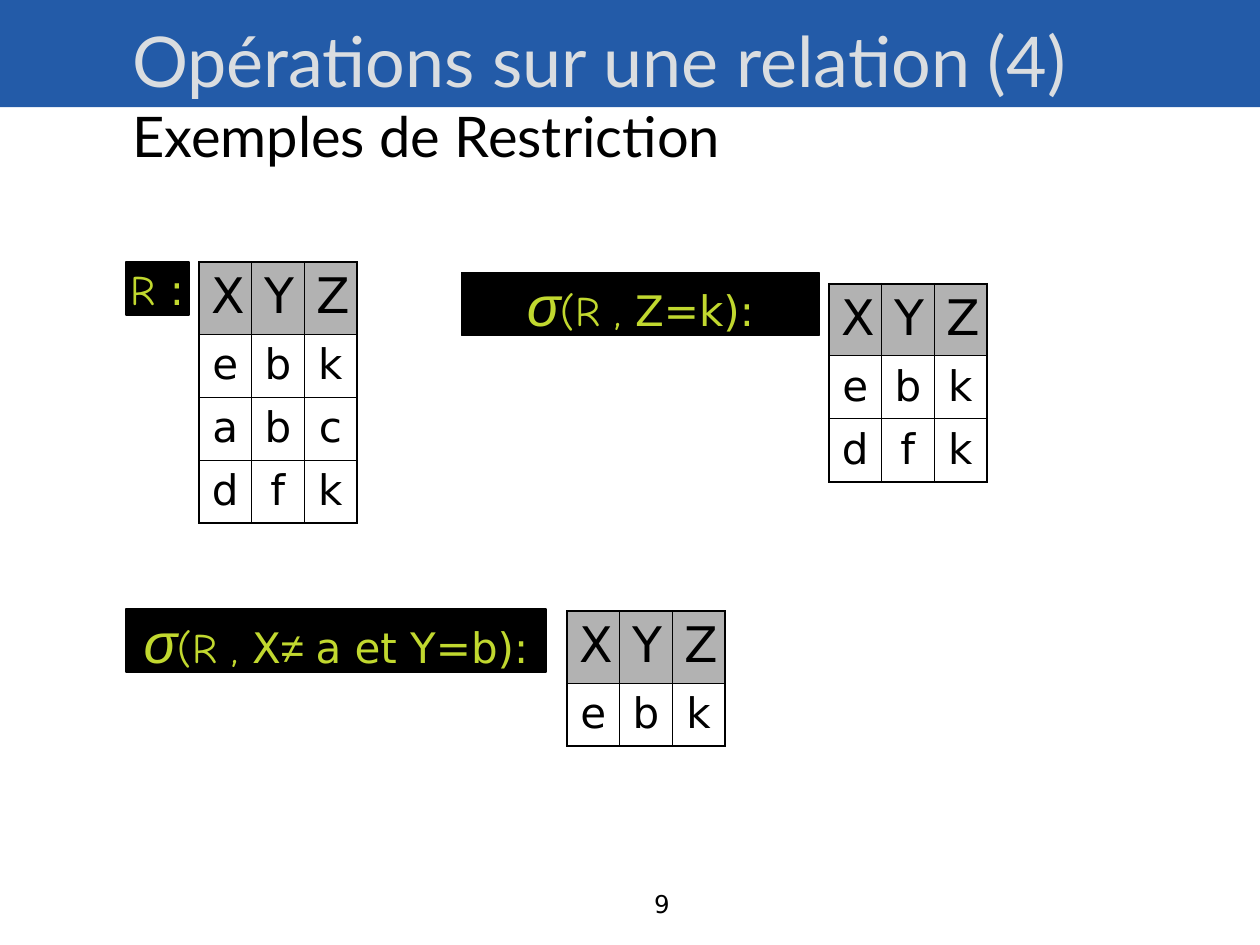
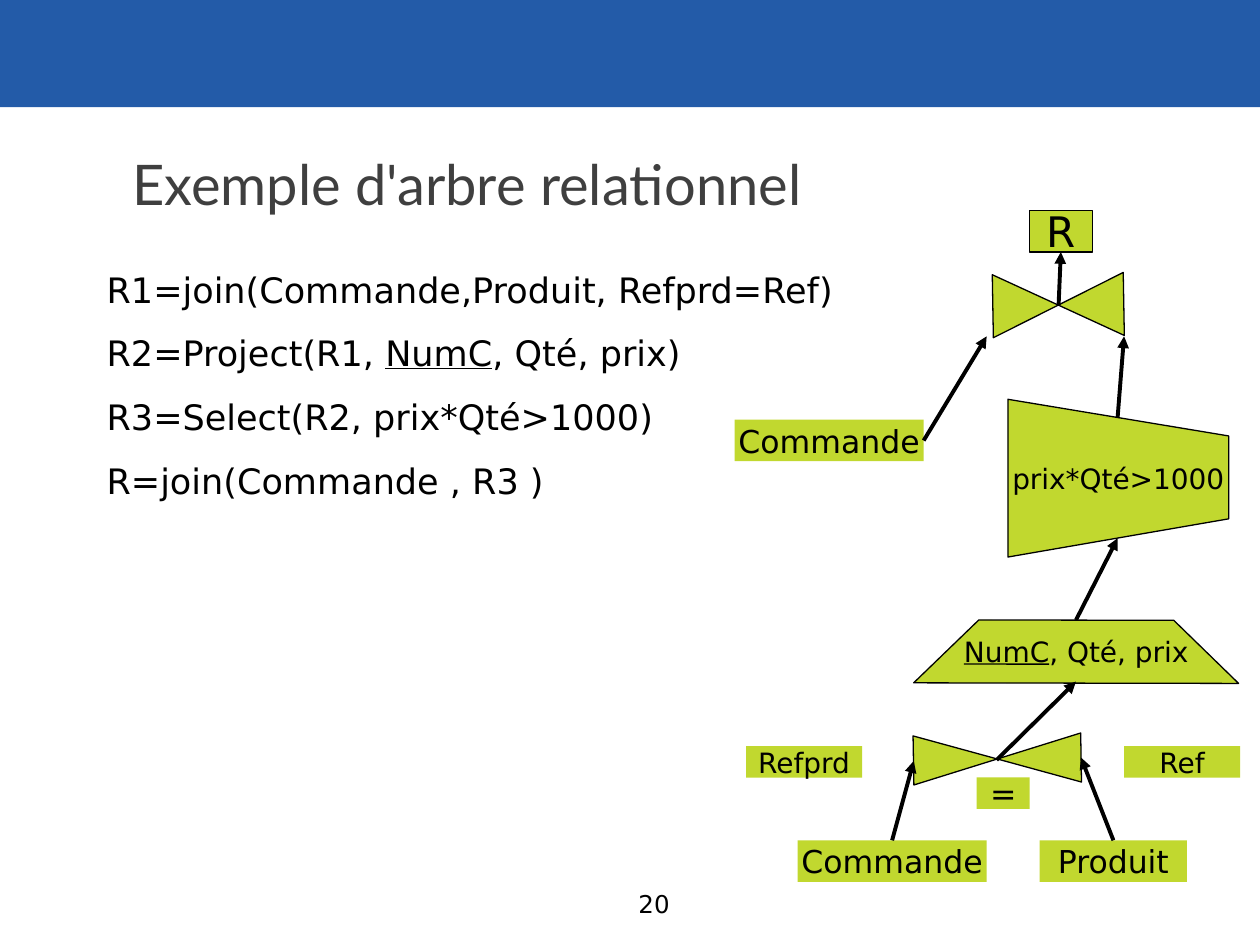
from lxml.etree import SubElement
from pptx import Presentation
from pptx.dml.color import RGBColor
from pptx.enum.shapes import MSO_CONNECTOR, MSO_SHAPE
from pptx.enum.text import MSO_ANCHOR, MSO_AUTO_SIZE, PP_ALIGN
from pptx.oxml.ns import qn
from pptx.util import Cm, Pt

BLUE, GREEN, GREY = "235BA8", "C1D82F", "B2B2B2"
BLACK, WHITE = "000000", "FFFFFF"
TITLE_FONT, BODY_FONT, RELATION_FONT, SYMBOL_FONT = "Lato", "DejaVu Sans", "Comic Neue", "Arial"
TOP, BOTTOM, RIGHT = 0, 2, 3  # connection sites of a rectangle


def color(value):
    return RGBColor.from_string(value)


def box(*lengths):
    return [Cm(length) for length in lengths]


# Text
def add_text(paragraph, text, size=16, font=BODY_FONT, fill=BLACK, italic=False, underline=False):
    run = paragraph.add_run()
    run.text = text
    run.font.size = Pt(size)
    run.font.name = font
    run.font.color.rgb = color(fill)
    run.font.italic = italic
    run.font.underline = underline


def add_runs(paragraph, runs, **shared):
    """Each run is a text, or a pair of a text and its own format."""
    for run in runs:
        text, own = (run, {}) if isinstance(run, str) else run
        add_text(paragraph, text, **{**shared, **own})


def set_title(slide, position, lines):
    title = slide.shapes.title
    title.left, title.top, title.width, title.height = box(*position)
    frame = title.text_frame
    frame.word_wrap = True
    frame.auto_size = MSO_AUTO_SIZE.NONE
    frame.vertical_anchor = MSO_ANCHOR.MIDDLE
    paragraph = frame.paragraphs[0]
    paragraph.alignment = PP_ALIGN.LEFT
    for index, (text, size, fill) in enumerate(lines):
        if index:
            paragraph.add_line_break()
        add_text(paragraph, text, size=size, font=TITLE_FONT, fill=fill)


def add_page_number(slide, number):
    frame = slide.shapes.add_textbox(*box(11.63, 17.98, 2.12, 0.46)).text_frame
    frame.word_wrap = True
    frame.vertical_anchor = MSO_ANCHOR.MIDDLE
    frame.paragraphs[0].alignment = PP_ALIGN.RIGHT
    add_text(frame.paragraphs[0], str(number), size=14)


def add_steps(slide, position, steps):
    frame = slide.shapes.add_textbox(*box(*position)).text_frame
    frame.word_wrap = True
    for index, runs in enumerate(steps):
        paragraph = frame.add_paragraph() if index else frame.paragraphs[0]
        paragraph.space_before = Pt(12.5)
        add_runs(paragraph, runs, size=20)


# Shapes
def style_shape(shape, fill, outline=None, runs=(), **text_format):
    shape.shadow.inherit = False
    shape.fill.solid()
    shape.fill.fore_color.rgb = color(fill)
    if outline:
        shape.line.color.rgb = color(outline)
        shape.line.width = Pt(0.75)
    else:
        shape.line.fill.background()
    if runs:
        frame = shape.text_frame
        frame.word_wrap = False
        frame.vertical_anchor = MSO_ANCHOR.MIDDLE
        frame.paragraphs[0].alignment = PP_ALIGN.CENTER
        add_runs(frame.paragraphs[0], runs, **text_format)
    return shape


def add_label(slide, position, *runs, fill=GREEN, outline=None, **text_format):
    shape = slide.shapes.add_shape(MSO_SHAPE.RECTANGLE, *box(*position))
    return style_shape(shape, fill, outline, runs, **text_format)


def add_relation_label(slide, position, *runs):
    add_label(slide, position, *runs, fill=BLACK, outline=BLACK, size=24, font=RELATION_FONT)


def add_relation_name(text):
    return text, {"font": BODY_FONT}


def add_join(slide, position):
    shape = slide.shapes.add_shape(MSO_SHAPE.FLOWCHART_COLLATE, *box(*position))
    shape.rotation = 269
    style_shape(shape, GREEN, BLACK)


def add_projection(slide, position, *runs):
    shape = slide.shapes.add_shape(MSO_SHAPE.FLOWCHART_MANUAL_OPERATION, *box(*position))
    shape.rotation = 180.1
    style_shape(shape, GREEN, BLACK, runs)
    # Turn the text back upright
    shape.text_frame._txBody.bodyPr.set("rot", "10800000")


def add_selection(slide, corners, *runs):
    points = [box(*corner) for corner in corners]
    builder = slide.shapes.build_freeform(*points[0])
    builder.add_line_segments(points[1:], close=True)
    style_shape(builder.convert_to_shape(), GREEN, BLACK, runs)


def add_arrow(slide, start, end):
    """An end is a point, or a pair of a shape and its connection site."""
    points = [box(*place) if isinstance(place[0], (int, float)) else box(0, 0)
              for place in (start, end)]
    arrow = slide.shapes.add_connector(MSO_CONNECTOR.STRAIGHT, *points[0], *points[1])
    for place, connect in ((start, arrow.begin_connect), (end, arrow.end_connect)):
        if not isinstance(place[0], (int, float)):
            connect(*place)
    arrow.line.color.rgb = color(BLACK)
    arrow.line.width = Pt(2.25)
    SubElement(arrow.line._get_or_add_ln(), qn("a:tailEnd"), type="triangle")
    SubElement(arrow.element.spPr, qn("a:effectLst"))


# Tables
def set_border(cell, side, width):
    line = SubElement(cell._tc.get_or_add_tcPr(), qn(f"a:ln{side}"), w=str(Pt(width)))
    fill = SubElement(line, qn("a:solidFill"))
    SubElement(fill, qn("a:srgbClr"), val=BLACK)


def add_relation(slide, left, top, *tuples):
    rows = ["XYZ", *tuples]
    heights = [1.45] + [1.27] * len(tuples)
    column_width, last_row, last_column = 1.06, len(rows) - 1, 2
    frame = slide.shapes.add_table(len(rows), 3, *box(left, top, 3 * column_width, sum(heights)))
    table = frame.table
    table.first_row = table.horz_banding = False
    for column in table.columns:
        column.width = Cm(column_width)
    for i, values in enumerate(rows):
        table.rows[i].height = Cm(heights[i])
        for j, value in enumerate(values):
            cell = table.cell(i, j)
            outer_sides = {"L": j == 0, "R": j == last_column, "T": i == 0, "B": i == last_row}
            for side, outer in outer_sides.items():
                set_border(cell, side, 1.08 if outer else 0.45)
            if i == 0:
                cell.fill.solid()
                cell.fill.fore_color.rgb = color(GREY)
            else:
                cell.fill.background()
            paragraph = cell.text_frame.paragraphs[0]
            paragraph.alignment = PP_ALIGN.CENTER
            paragraph.space_before = Pt(6 if i else 7)
            add_text(paragraph, value, size=24 if i else 28)


# Slides
def add_bands(layout, slide):
    """Build the shared bands and place them behind everything on the layout."""
    for position, fill in (((0, 0, 25.4, 2.16), BLUE), ((0, 17.91, 25.4, 1.14), WHITE)):
        band = add_label(slide, position, fill=fill)
        layout.shapes.element.insert(2, band.element)


def fill_restriction_slide(slide):
    set_title(slide, (2.41, 0.23, 22.68, 3.3),
              [("Opérations sur une relation (4)", 40, "DADDE0"),
               ("Exemples de Restriction", 32, BLACK)])
    add_page_number(slide, 9)

    sigma = ("σ", {"size": 32, "font": SYMBOL_FONT, "italic": True, "fill": GREEN})
    green = {"fill": GREEN}
    plain = {"fill": GREEN, "font": BODY_FONT}
    add_relation_label(slide, (2.54, 5.28, 1.27, 1.07), ("R ", green), (":", plain))
    add_relation_label(slide, (9.31, 5.5, 7.2, 1.27), sigma, ("(R , ", green), ("Z=k):", plain))
    add_relation_label(slide, (2.54, 12.28, 8.47, 1.27), sigma, ("(R , ", green), ("X", plain),
                       ("≠ ", {"fill": GREEN, "font": SYMBOL_FONT}), ("a et Y=b):", plain))

    add_relation(slide, 4.01, 5.28, "ebk", "abc", "dfk")
    add_relation(slide, 16.71, 5.72, "ebk", "dfk")
    add_relation(slide, 11.43, 12.32, "ebk")


def fill_tree_slide(slide):
    set_title(slide, (2.41, 2.9, 22.68, 1.6), [("Exemple d'arbre relationnel", 32, "3F3F3F")])
    add_page_number(slide, 20)
    key = ("NumC", {"underline": True})
    add_steps(slide, (1.9, 5.28, 15.44, 4.98), [
        ["R1=join(Commande,Produit, Refprd=Ref)"],
        ["R2=Project(R1, ", key, ", Qté, prix)"],
        ["R3=Select(R2, prix*Qté>1000)"],
        ["R=join(Commande , R3 )"],
    ])

    # Operators and relations of the tree
    add_join(slide, (20.7, 4.83, 1.27, 2.64))
    add_join(slide, (19.61, 13.61, 0.99, 3.38))
    add_label(slide, (19.69, 15.67, 1.07, 0.64), "=", size=18)
    for left, attribute in ((15.04, "Refprd"), (22.66, "Ref")):
        add_label(slide, (left, 15.04, 2.34, 0.64), attribute)
    add_projection(slide, (18.42, 12.5, 6.55, 1.27), key, ", Qté, prix")
    add_selection(slide, [(20.32, 11.23), (24.77, 10.46), (24.77, 8.79), (20.32, 8.05)],
                  "prix*Qté>1000")
    order = add_label(slide, (16.08, 16.94, 3.81, 0.84), "Commande", size=18)
    product = add_label(slide, (20.96, 16.94, 2.97, 0.84), "Produit", size=18)
    upper_order = add_label(slide, (14.81, 8.46, 3.81, 0.84), "Commande", size=18)
    result = add_label(slide, (20.75, 4.24, 1.27, 0.84), "R", size=24, outline=BLACK)

    # Flow from the leaves up to the result
    for start, end in (
        ((order, TOP), (18.42, 15.34)),
        ((product, TOP), (21.79, 15.27)),
        ((20.09, 15.32), (21.69, 13.74)),
        ((21.69, 12.5), (22.53, 10.85)),
        ((22.53, 8.41), (22.66, 6.78)),
        ((upper_order, RIGHT), (19.89, 6.78)),
        ((21.34, 6.15), (result, BOTTOM)),
    ):
        add_arrow(slide, start, end)


def main():
    presentation = Presentation()
    presentation.slide_width, presentation.slide_height = box(25.4, 19.05)
    layout = presentation.slide_layouts[5]  # title only
    restriction_slide, tree_slide = [presentation.slides.add_slide(layout) for _ in range(2)]
    add_bands(layout, restriction_slide)
    fill_restriction_slide(restriction_slide)
    fill_tree_slide(tree_slide)
    presentation.save("out.pptx")


if __name__ == "__main__":
    main()
